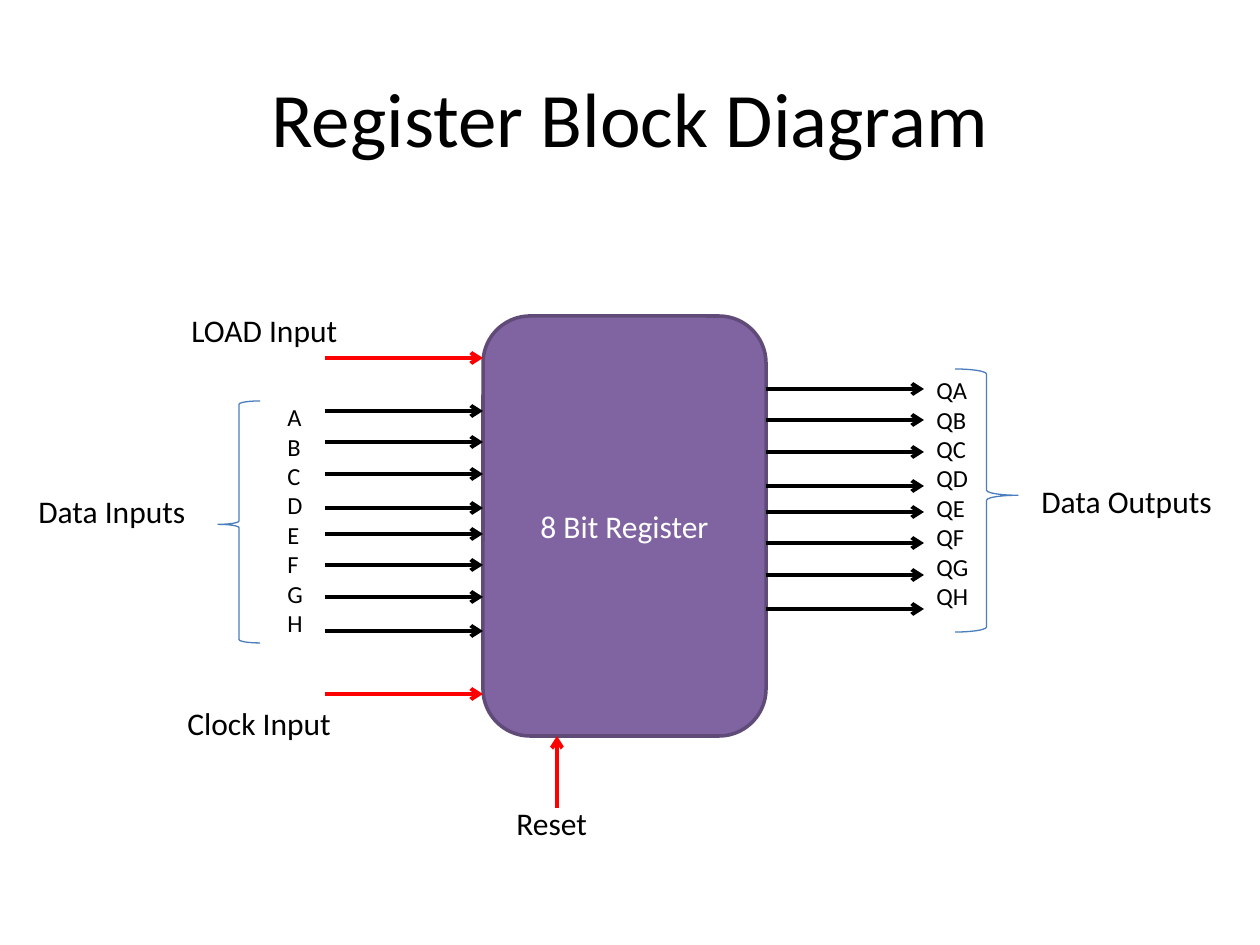
from typing import NamedTuple

from lxml import etree
from pptx import Presentation
from pptx.dml.color import RGBColor
from pptx.enum.shapes import MSO_CONNECTOR, MSO_SHAPE
from pptx.enum.text import MSO_ANCHOR, MSO_AUTO_SIZE, PP_ALIGN
from pptx.oxml.ns import qn
from pptx.util import Emu, Pt

STRAIGHT = MSO_CONNECTOR.STRAIGHT
ROUNDED_RECTANGLE = MSO_SHAPE.ROUNDED_RECTANGLE
LEFT_BRACE = MSO_SHAPE.LEFT_BRACE
LEFT, CENTER = PP_ALIGN.LEFT, PP_ALIGN.CENTER
TOP, MIDDLE = MSO_ANCHOR.TOP, MSO_ANCHOR.MIDDLE
FIT_SHAPE, FIXED = MSO_AUTO_SIZE.SHAPE_TO_FIT_TEXT, MSO_AUTO_SIZE.NONE

BLACK = RGBColor(0x00, 0x00, 0x00)
WHITE = RGBColor(0xFF, 0xFF, 0xFF)
RED = RGBColor(0xFF, 0x00, 0x00)
PURPLE = RGBColor(0x80, 0x64, 0xA2)
DARK_PURPLE = RGBColor(0x5F, 0x4A, 0x78)
BLUE = RGBColor(0x4B, 0x7E, 0xBC)

EMU_PER_PX = 914400 / 126
FONT = "Calibri"
BITS = "ABCDEFGH"
BIT_OFFSETS = [half + step for half in (0, 123) for step in (0, 31, 63, 97)]

REGISTER_LEFT, REGISTER_RIGHT = 483, 766
REGISTER_TOP, REGISTER_BOTTOM = 316, 736
INPUT_START, OUTPUT_END = 325, 924
FIRST_INPUT_Y, FIRST_OUTPUT_Y = 411, 389


class Box(NamedTuple):
    left: int
    top: int
    width: int
    height: int


class Label(NamedTuple):
    box: Box
    lines: list[str]
    size: int = 18


class Arrow(NamedTuple):
    x1: int
    y1: int
    x2: int
    y2: int
    color: RGBColor


class Brace(NamedTuple):
    box: Box
    tip: float
    rotation: int = 0


LABELS = [
    Label(Box(26, 486, 174, 50), ["Data Inputs"]),
    Label(Box(179, 305, 172, 50), ["LOAD Input"]),
    Label(Box(175, 698, 170, 50), ["Clock Input"]),
    Label(Box(1029, 476, 198, 50), ["Data Outputs"]),
    Label(Box(504, 798, 97, 50), ["Reset"]),
    Label(Box(275, 396, 41, 251), list(BITS), 14),
    Label(Box(924, 369, 57, 251), [f"Q{bit}" for bit in BITS], 14),
]

BRACES = [
    Brace(Box(218, 401, 42, 242), 0.51),
    Brace(Box(955, 369, 63, 263), 0.52, 180),
]

ARROWS = [
    Arrow(start, first_y + offset, end, first_y + offset, BLACK)
    for start, end, first_y in (
        (INPUT_START, REGISTER_LEFT, FIRST_INPUT_Y),
        (REGISTER_RIGHT, OUTPUT_END, FIRST_OUTPUT_Y),
    )
    for offset in BIT_OFFSETS
] + [
    Arrow(INPUT_START, 358, REGISTER_LEFT, 358, RED),
    Arrow(INPUT_START, 694, REGISTER_LEFT, 694, RED),
    Arrow(557, 808, 557, REGISTER_BOTTOM, RED),
]


def px(*lengths: int) -> list[Emu]:
    return [Emu(round(length * EMU_PER_PX)) for length in lengths]


def apply_format(target, values: dict) -> None:
    for attribute, value in values.items():
        setattr(target, attribute, value)


def write_text(frame, lines: list[str], size: int, color: RGBColor,
               alignment, frame_format: dict) -> None:
    apply_format(frame, frame_format)
    frame.text = "\n".join(lines)
    for paragraph in frame.paragraphs:
        paragraph.alignment = alignment
        apply_format(paragraph.font, {"name": FONT, "size": Pt(size)})
        paragraph.font.color.rgb = color


def draw_title(slide) -> None:
    title = slide.shapes.add_textbox(*px(63, 38, 1134, 157))
    write_text(title.text_frame, ["Register Block Diagram"], 44, BLACK, CENTER,
               {"word_wrap": True, "vertical_anchor": MIDDLE, "auto_size": FIXED})


def draw_register(slide) -> None:
    register = slide.shapes.add_shape(ROUNDED_RECTANGLE, *px(
        REGISTER_LEFT, REGISTER_TOP,
        REGISTER_RIGHT - REGISTER_LEFT, REGISTER_BOTTOM - REGISTER_TOP))
    register.shadow.inherit = False
    register.fill.solid()
    register.fill.fore_color.rgb = PURPLE
    register.line.color.rgb = DARK_PURPLE
    register.line.width = Pt(2)
    write_text(register.text_frame, ["8 Bit Register"], 18, WHITE, CENTER,
               {"word_wrap": True, "vertical_anchor": MIDDLE})


def draw_arrow(slide, arrow: Arrow) -> None:
    signal = slide.shapes.add_connector(
        STRAIGHT, *px(arrow.x1, arrow.y1, arrow.x2, arrow.y2))
    signal.line.color.rgb = arrow.color
    signal.line.width = Pt(2.25)
    properties = signal._element.spPr
    etree.SubElement(properties.find(qn("a:ln")), qn("a:tailEnd"), type="arrow")
    etree.SubElement(properties, qn("a:effectLst"))


def draw_brace(slide, brace: Brace) -> None:
    group_mark = slide.shapes.add_shape(LEFT_BRACE, *px(*brace.box))
    group_mark.shadow.inherit = False
    group_mark.rotation = brace.rotation
    group_mark.adjustments[0] = 0.08
    group_mark.adjustments[1] = brace.tip
    group_mark.fill.background()
    group_mark.line.color.rgb = BLUE
    group_mark.line.width = Pt(0.75)


def draw_label(slide, label: Label) -> None:
    caption = slide.shapes.add_textbox(*px(*label.box))
    write_text(caption.text_frame, label.lines, label.size, BLACK, LEFT,
               {"word_wrap": False, "vertical_anchor": TOP, "auto_size": FIT_SHAPE})


def main() -> None:
    presentation = Presentation()
    slide_width, slide_height = px(1260, 945)
    apply_format(presentation,
                 {"slide_width": slide_width, "slide_height": slide_height})
    slide = presentation.slides.add_slide(presentation.slide_layouts[6])
    draw_title(slide)
    draw_register(slide)
    for arrow in ARROWS:
        draw_arrow(slide, arrow)
    for brace in BRACES:
        draw_brace(slide, brace)
    for label in LABELS:
        draw_label(slide, label)
    presentation.save("out.pptx")


if __name__ == "__main__":
    main()
